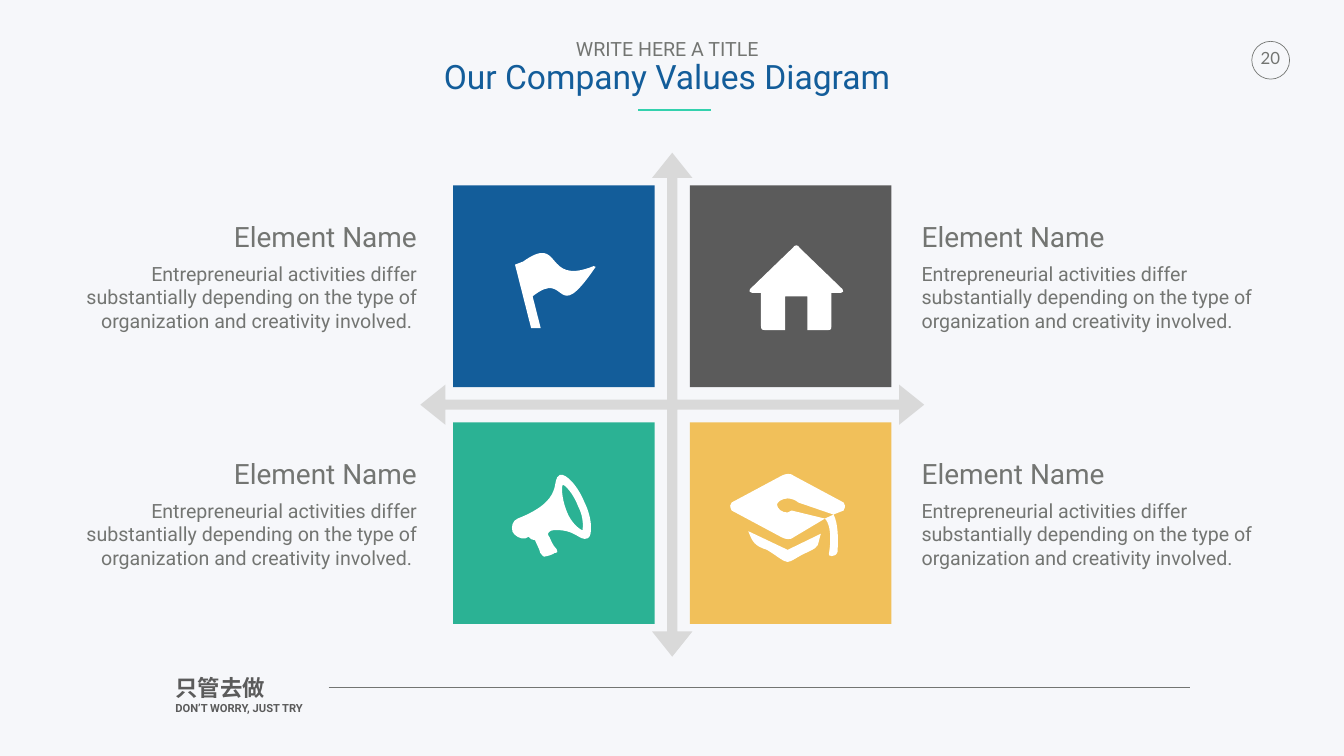
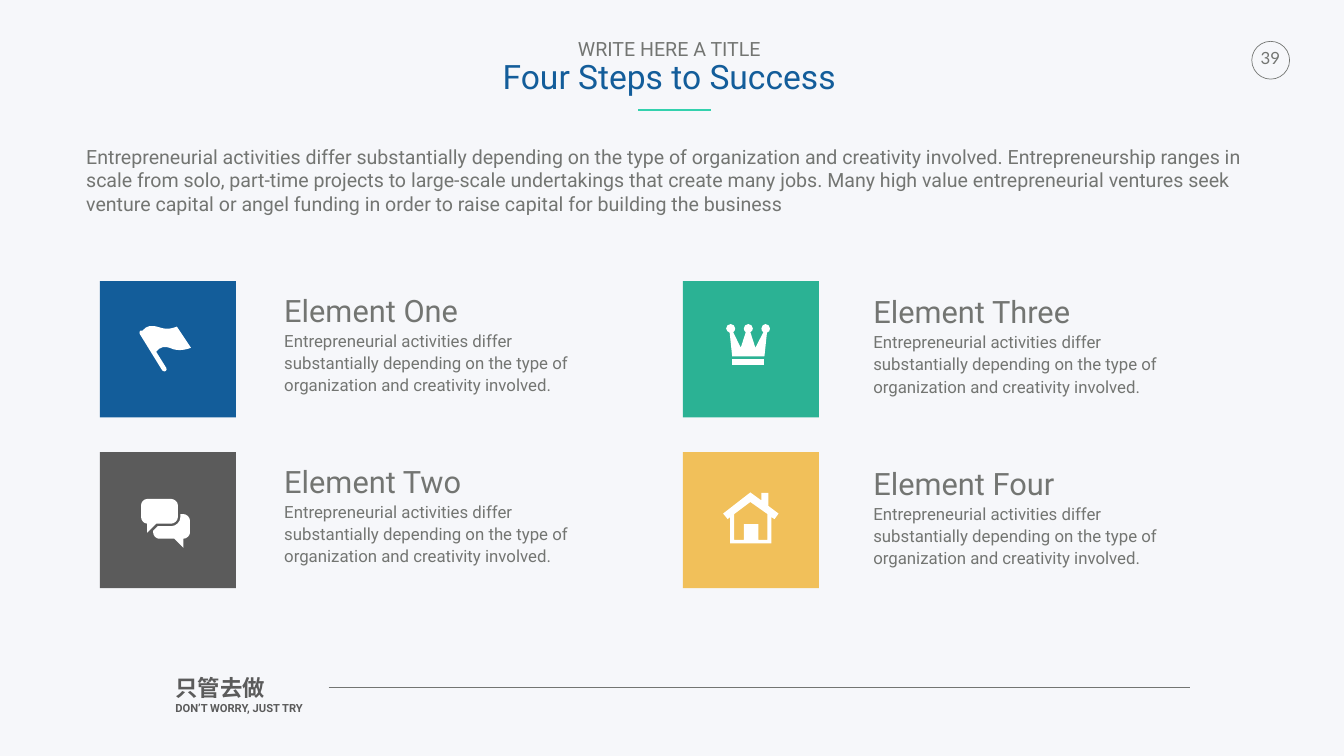
from lxml import etree
from pptx import Presentation
from pptx.dml.color import RGBColor
from pptx.enum import shapes, text
from pptx.oxml import ns
from pptx.util import Emu, Pt

PX = 9144  # one px is a hundredth of an inch

BACKGROUND, WHITE = "F6F7FA", "FFFFFF"
BLUE, DARK, GREEN, YELLOW = "135D9A", "5B5B5B", "2BB294", "F1C05A"
GREY, PALE, MINT = "737572", "D9D9D9", "33D1AD"
FONT, NUMBER_FONT = "Roboto", "Lato"
LEFT, CENTER, RIGHT = text.PP_ALIGN.LEFT, text.PP_ALIGN.CENTER, text.PP_ALIGN.RIGHT

BODY = ("Entrepreneurial activities differ substantially depending on the type of "
        "organization and creativity involved.")
INTRO = BODY + (" Entrepreneurship ranges in scale from solo, part-time projects to "
                "large-scale undertakings that create many jobs. Many high value "
                "entrepreneurial ventures seek venture capital or angel funding in order "
                "to raise capital for building the business")

# Icons: a list of contours; two numbers are a corner, six a Bezier curve.
WAVING_FLAG = [
    [(1178, 528), (1077, 569, 1118, 462, 1038, 519), (1022, 525), (1054, 651),
     (1073, 651), (1057, 588), (1128, 531, 1099, 651, 1181, 531),
     (1185, 531, 1181, 528, 1178, 528)],
]
HOME = [
    [(1672, 574), (1587, 492), (1584, 485, 1577, 485, 1573, 492), (1488, 574),
     (1485, 577, 1488, 581, 1492, 581), (1510, 581), (1510, 647),
     (1510, 651, 1510, 655, 1518, 655), (1558, 655), (1558, 588), (1602, 588),
     (1602, 655), (1643, 655), (1650, 655, 1650, 651, 1650, 647), (1650, 581),
     (1669, 581), (1672, 581, 1676, 577, 1672, 574)],
]
MEGAPHONE = [
    [(1160, 997), (1147, 965, 1124, 939, 1111, 942), (1091, 952, 1124, 991, 1027, 1029),
     (1017, 1033, 1014, 1045, 1017, 1055), (1020, 1062, 1033, 1071, 1043, 1068),
     (1049, 1065), (1056, 1075, 1063, 1068, 1063, 1075),
     (1066, 1081, 1072, 1094, 1072, 1097), (1075, 1100, 1079, 1107, 1082, 1104),
     (1085, 1104, 1098, 1100, 1101, 1097), (1107, 1097, 1107, 1094, 1105, 1091),
     (1105, 1088, 1098, 1084, 1098, 1081), (1095, 1078, 1091, 1065, 1088, 1062),
     (1085, 1059, 1091, 1052, 1098, 1052), (1143, 1049, 1150, 1075, 1166, 1068),
     (1176, 1065, 1176, 1029, 1160, 997)],
    [(1156, 1052), (1153, 1052, 1133, 1039, 1124, 1013), (1114, 988, 1114, 962, 1117, 962),
     (1121, 962, 1137, 978, 1147, 1004), (1160, 1029, 1156, 1049, 1156, 1052)],
]
GRADUATION_CAP = [
    [(1485, 1054), (1493, 1075, 1497, 1083, 1522, 1091), (1542, 1103, 1555, 1115, 1563, 1115),
     (1571, 1115, 1584, 1103, 1604, 1095), (1629, 1083, 1621, 1083, 1629, 1059),
     (1563, 1091)],
    [(1674, 997), (1575, 944), (1571, 939, 1559, 939, 1551, 944), (1452, 997),
     (1448, 1001, 1448, 1005, 1452, 1013), (1551, 1066),
     (1559, 1071, 1571, 1071, 1575, 1066), (1637, 1029), (1571, 1013),
     (1567, 1013, 1567, 1017, 1563, 1017), (1551, 1017, 1542, 1009, 1542, 1001),
     (1542, 997, 1551, 989, 1563, 989), (1571, 989, 1580, 993, 1584, 997),
     (1654, 1021), (1674, 1013), (1678, 1005, 1678, 1001, 1674, 997)],
    [(1645, 1099), (1641, 1103, 1658, 1108, 1662, 1095), (1666, 1038, 1654, 1021, 1654, 1021),
     (1637, 1029), (1637, 1029, 1654, 1042, 1645, 1099)],
]
SLANTED_FLAG = [
    [(351, 648), (351, 648, 335, 656, 318, 650), (300, 644, 291, 646, 283, 656),
     (281, 655, 280, 655, 279, 656), (277, 657, 276, 660, 277, 662), (322, 735),
     (323, 736, 324, 737, 326, 737), (327, 737, 328, 737, 329, 736),
     (331, 735, 331, 732, 330, 730), (310, 698), (318, 688, 326, 685, 344, 693),
     (361, 698, 379, 690, 379, 690)],
]
CROWN_BASE = [[(1453, 713), (1517, 713), (1517, 724), (1453, 724)]]
CROWN = [
    [(1528, 652), (1528, 647, 1524, 643, 1519, 643), (1515, 643, 1511, 647, 1511, 652),
     (1511, 655, 1512, 658, 1515, 659), (1499, 690), (1489, 659),
     (1492, 658, 1494, 655, 1494, 652), (1494, 647, 1490, 643, 1485, 643),
     (1480, 643, 1476, 647, 1476, 652), (1476, 655, 1478, 658, 1480, 659),
     (1470, 690), (1455, 659), (1457, 658, 1459, 655, 1459, 652),
     (1459, 647, 1455, 643, 1450, 643), (1445, 643, 1441, 647, 1441, 652),
     (1441, 656, 1445, 659, 1448, 660), (1453, 707), (1517, 707), (1522, 660),
     (1526, 659, 1528, 656, 1528, 652)],
]
REPLY_BUBBLE = [
    [(364, 1020), (358, 1020), (358, 1026), (358, 1036, 349, 1044, 340, 1044),
     (313, 1044), (304, 1053), (304, 1057), (304, 1063, 310, 1069, 316, 1069),
     (346, 1069), (364, 1087), (364, 1069), (370, 1069, 377, 1063, 377, 1057),
     (377, 1033), (377, 1026, 370, 1020, 364, 1020)],
]
SPEECH_BUBBLE = [
    [(310, 1039), (340, 1039), (346, 1039, 353, 1033, 353, 1026), (353, 1002),
     (353, 996, 346, 990, 340, 990), (292, 990), (286, 990, 280, 996, 280, 1002),
     (280, 1026), (280, 1033, 286, 1039, 292, 1039), (292, 1057)],
]
CHIMNEY_HOUSE = [
    [(1525, 1004), (1525, 978), (1511, 978), (1511, 993), (1489, 977), (1435, 1019),
     (1444, 1030), (1449, 1026), (1449, 1078), (1531, 1078), (1531, 1026),
     (1537, 1030), (1545, 1019)],
    [(1523, 1071), (1505, 1071), (1505, 1040), (1476, 1040), (1476, 1071),
     (1457, 1071), (1457, 1020), (1489, 996), (1523, 1020)],
]


def px(length):
    return Emu(round(length * PX))


def color(hex_code):
    return RGBColor.from_string(hex_code)


def paint(shape, fill=None, line=None, width=1):
    shape.shadow.inherit = False
    if fill:
        shape.fill.solid()
        shape.fill.fore_color.rgb = color(fill)
    else:
        shape.fill.background()
    if line:
        shape.line.color.rgb = color(line)
        shape.line.width = Pt(width)
    else:
        shape.line.fill.background()


def add_square(slide, left, top, size, fill):
    square = slide.shapes.add_shape(
        shapes.MSO_SHAPE.RECTANGLE, px(left), px(top), px(size), px(size))
    paint(square, fill)


def add_rule(slide, left, right, y, line, width):
    rule = slide.shapes.add_connector(
        shapes.MSO_CONNECTOR.STRAIGHT, px(left), px(y), px(right), px(y))
    rule.line.color.rgb = color(line)
    rule.line.width = Pt(width)
    etree.SubElement(rule._element.spPr, ns.qn("a:effectLst"))


def add_text(slide, box, lines, align=LEFT, inset=10, spacing=None, wrap=True,
             font=FONT, bold=False):
    """Each line is a paragraph: its wording, size and colour."""
    shape = slide.shapes.add_textbox(*map(px, box))
    frame = shape.text_frame
    frame.word_wrap = wrap
    frame.auto_size = text.MSO_AUTO_SIZE.SHAPE_TO_FIT_TEXT
    frame.margin_left = frame.margin_right = px(inset)
    frame.margin_top = frame.margin_bottom = px(inset)
    for index, (wording, size, hex_code) in enumerate(lines):
        paragraph = frame.add_paragraph() if index else frame.paragraphs[0]
        paragraph.alignment = align
        paragraph.line_spacing = spacing
        run = paragraph.add_run()
        run.text = wording
        run.font.name = font
        run.font.size = Pt(size)
        run.font.bold = bold
        run.font.color.rgb = color(hex_code)


def bend_curves(shape, contours):
    """Join the three segments drawn for each curve into one Bezier segment."""
    segments = iter(list(shape._element.iter(ns.qn("a:lnTo"))))
    for contour in contours:
        for step in contour[1:]:
            curve = next(segments)
            if len(step) == 6:
                curve.tag = ns.qn("a:cubicBezTo")
                for _ in range(2):
                    segment = next(segments)
                    curve.append(segment[0])
                    segment.getparent().remove(segment)


def add_outline(slide, contours, fill):
    builder = None
    for contour in contours:
        points = [(px(step[i]), px(step[i + 1]))
                  for step in contour for i in range(0, len(step), 2)]
        if builder is None:
            builder = slide.shapes.build_freeform(*points[0], scale=1.0)
        else:
            builder.move_to(*points[0])
        builder.add_line_segments(points[1:], close=True)
    shape = builder.convert_to_shape()
    bend_curves(shape, contours)
    paint(shape, fill)


def add_cross_arrow(slide, center_x, center_y):
    arm = [(-10, -10), (-10, -450), (-40, -450), (0, -500), (40, -450), (10, -450)]
    points = []
    for _ in range(4):
        points += [(center_x + x, center_y + y) for x, y in arm]
        arm = [(-y, x) for x, y in arm]
    add_outline(slide, [points], PALE)


def add_page(presentation, number, title, title_left, title_width):
    """Blank slide with the shared background, title, page number and footer."""
    slide = presentation.slides.add_slide(presentation.slide_layouts[6])
    slide.background.fill.solid()
    slide.background.fill.fore_color.rgb = color(BACKGROUND)
    # Page number
    ring = slide.shapes.add_shape(
        shapes.MSO_SHAPE.OVAL, px(2484), px(82), px(75), px(75))
    paint(ring, line=GREY)
    add_text(slide, (2492, 90, 58, 60), [(number, 24, GREY)], CENTER,
             inset=5, wrap=False, font=NUMBER_FONT)
    # Footer
    add_text(slide, (343, 1333, 399, 99),
             [("只管去做", 32, DARK), ("DON’T WORRY, JUST TRY", 16, DARK)],
             inset=5, bold=True)
    add_rule(slide, 652, 2362, 1364, GREY, 0.25)
    # Title
    add_text(slide, (title_left, 74, title_width, 133),
             [("WRITE HERE A TITLE", 28, GREY), (title, 48, BLUE)],
             CENTER, inset=5, spacing=0.9, wrap=False)
    add_rule(slide, 1267, 1411, 218, MINT, 3)
    return slide


def build_values(presentation):
    slide = add_page(presentation, "20", "Our Company Values Diagram", 867, 914)
    add_cross_arrow(slide, 1334, 803)
    pitch = 470
    quadrants = [(BLUE, WAVING_FLAG), (DARK, HOME), (GREEN, MEGAPHONE),
                 (YELLOW, GRADUATION_CAP)]
    sides = [(127, RIGHT, BODY + " "), (1819, LEFT, BODY)]
    for index, (fill, icon) in enumerate(quadrants):
        row, column = divmod(index, 2)
        add_square(slide, 899 + pitch * column, 368 + pitch * row, 400, fill)
        add_outline(slide, icon, WHITE)
        left, align, body = sides[column]
        add_text(slide, (left, 426 + pitch * row, 710, 87),
                 [("Element Name", 40, GREY)], align)
        add_text(slide, (left, 509 + pitch * row, 710, 162), [(body, 28, GREY)], align)


def build_steps(presentation):
    slide = add_page(presentation, "39", "Four Steps to Success", 987, 682)
    add_text(slide, (166, 282, 2339, 152), [(INTRO, 28, GREY)], inset=5)
    steps = [("One", BLUE, [SLANTED_FLAG]),
             ("Two", DARK, [REPLY_BUBBLE, SPEECH_BUBBLE]),
             ("Three", GREEN, [CROWN_BASE, CROWN]),
             ("Four", YELLOW, [CHIMNEY_HOUSE])]
    for index, (name, fill, icons) in enumerate(steps):
        column, row = divmod(index, 2)
        add_square(slide, 198 + 1157 * column, 558 + 339 * row, 270, fill)
        for icon in icons:
            add_outline(slide, icon, WHITE)
        add_text(slide, (559 + 1169 * column, 566 + 340 * row + 3 * column, 586, 220),
                 [(f"Element {name}", 44, GREY), (BODY, 24, GREY)],
                 inset=5, spacing=1.1)


def main():
    presentation = Presentation()
    presentation.slide_width, presentation.slide_height = px(2667), px(1500)
    build_values(presentation)
    build_steps(presentation)
    presentation.save("out.pptx")


if __name__ == "__main__":
    main()
